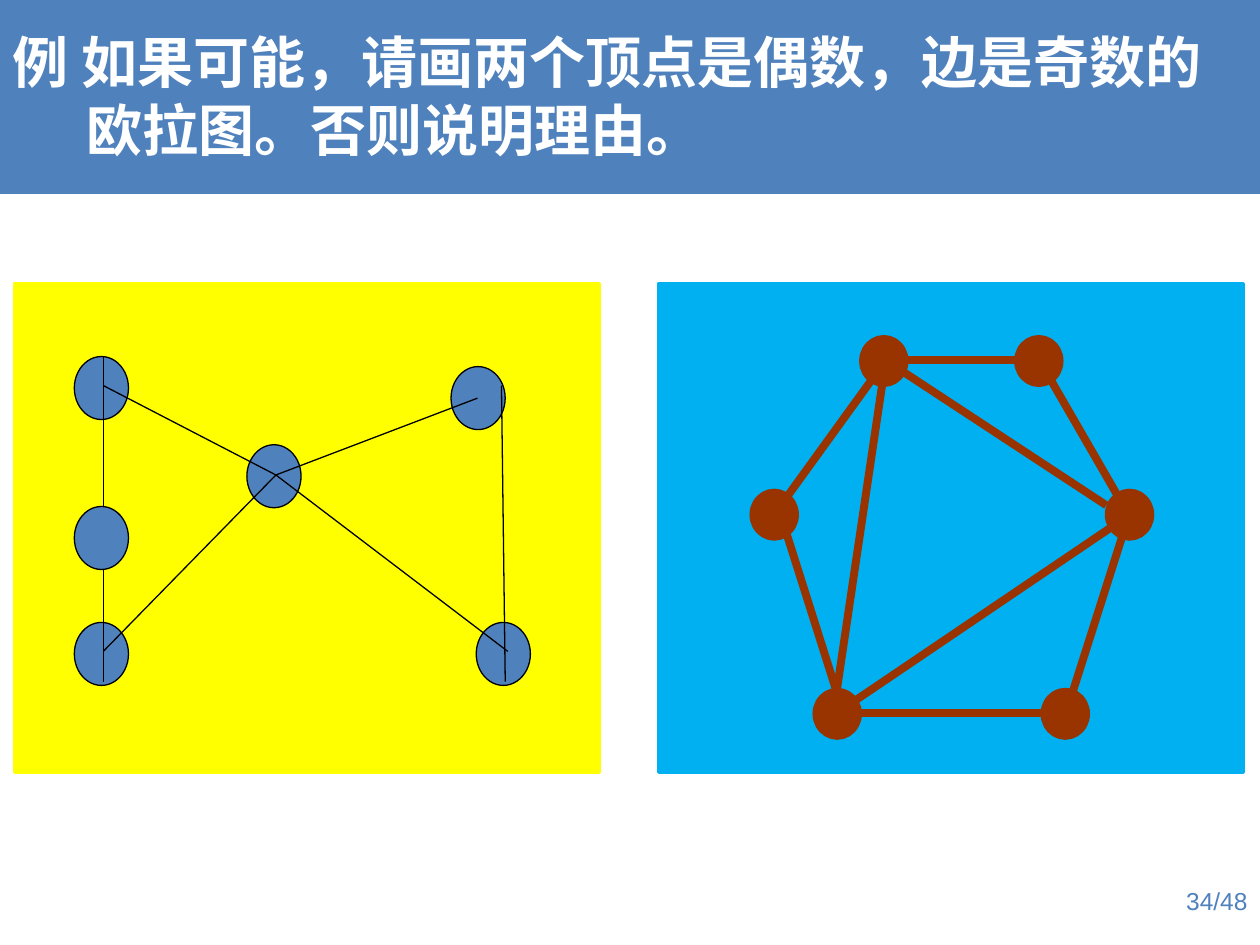
from lxml import etree
from pptx import Presentation
from pptx.dml.color import RGBColor
from pptx.enum.shapes import MSO_CONNECTOR, MSO_SHAPE
from pptx.enum.text import MSO_ANCHOR, PP_ALIGN
from pptx.oxml.ns import qn
from pptx.util import Inches, Pt

RECT = MSO_SHAPE.RECTANGLE
OVAL = MSO_SHAPE.OVAL
STRAIGHT = MSO_CONNECTOR.STRAIGHT
MIDDLE = MSO_ANCHOR.MIDDLE
LEFT = PP_ALIGN.LEFT
RIGHT = PP_ALIGN.RIGHT

BLUE = RGBColor(0x4F, 0x81, 0xBD)
SKY = RGBColor(0x00, 0xB0, 0xF0)
YELLOW = RGBColor(0xFF, 0xFF, 0x00)
BROWN = RGBColor(0x99, 0x33, 0x00)
BLACK = RGBColor(0x00, 0x00, 0x00)
WHITE = RGBColor(0xFF, 0xFF, 0xFF)

TITLE = "例 如果可能，请画两个顶点是偶数，边是奇数的欧拉图。否则说明理由。"


def add_shape(shapes, kind, box, fill, line=None, width=0):
    shape = shapes.add_shape(kind, *map(Inches, box))
    shape.shadow.inherit = False
    shape.fill.solid()
    shape.fill.fore_color.rgb = fill
    if line is None:
        shape.line.fill.background()
    else:
        shape.line.color.rgb = line
        shape.line.width = Pt(width)
    return shape


def add_edge(shapes, start, end, color, width):
    edge = shapes.add_connector(STRAIGHT, *map(Inches, start + end))
    edge.line.color.rgb = color
    edge.line.width = Pt(width)
    etree.SubElement(edge._element.spPr, qn("a:effectLst"))


def add_nodes(shapes, spots, size, fill, line, width):
    for spot in spots:
        add_shape(shapes, OVAL, spot + size, fill, line, width)


def set_text(shape, text, size, font, color, align, bold=False):
    frame = shape.text_frame
    frame.word_wrap = True
    para = frame.paragraphs[0]
    para.text = text
    para.alignment = align
    para.font.size = Pt(size)
    para.font.name = font
    para.font.bold = bold
    para.font.color.rgb = color
    return para


def add_title(shapes):
    bar = add_shape(shapes, RECT, (0, -0.03, 10, 1.57), BLUE)
    bar.text_frame.vertical_anchor = MIDDLE
    para = set_text(bar, TITLE, 32, "Calibri", WHITE, LEFT, True)
    props = para._p.get_or_add_pPr()
    props.set("marL", str(Inches(0.59)))
    props.set("indent", str(-Inches(0.59)))
    run = para.runs[0]._r.get_or_add_rPr()
    etree.SubElement(run, qn("a:ea")).set("typeface", "Calibri")


def add_number(shapes):
    box = shapes.add_textbox(*map(Inches, (7.67, 6.98, 2.33, 0.52)))
    set_text(box, "34/48", 14, "Arial", BLUE, RIGHT)


def add_bowtie(shapes):
    size = (0.43, 0.5)
    style = (BLUE, BLACK, 0.75)
    hub = (2.19, 3.77)
    spots = [(1.96, 3.53), (0.59, 2.83), (3.58, 2.91), (0.59, 4.94), (3.78, 4.94)]
    add_nodes(shapes, spots, size, *style)
    edges = [(hub, end) for end in ((0.82, 3.06), (3.79, 3.16), (0.82, 5.17), (4.03, 5.17))]
    edges += [((0.82, 2.83), (0.82, 5.41)), ((3.98, 3.06), (4.01, 5.41))]
    for start, end in edges:
        add_edge(shapes, start, end, BLACK, 0.75)
    add_nodes(shapes, [(0.59, 4.02)], size, *style)


def add_hexagon(shapes):
    top, east, base = (7.03, 2.86), (8.96, 4.09), (6.64, 5.66)
    peak, west, foot = (8.25, 2.86), (6.14, 4.09), (6.64, 5.49)
    spots = [(6.85, 2.69), (8.08, 2.69), (5.98, 3.91), (8.8, 3.91), (6.48, 5.49), (8.29, 5.49)]
    add_nodes(shapes, spots, (0.33, 0.35), BROWN, BROWN, 4.5)
    edges = [
        (top, west), (top, peak), (top, foot), (top, (8.78, 4.01)),
        (peak, east), (east, (8.46, 5.66)), (east, base),
        ((6.14, 3.91), foot), (base, (8.29, 5.66)),
    ]
    for start, end in edges:
        add_edge(shapes, start, end, BROWN, 4.5)


def main():
    deck = Presentation()
    deck.slide_width = Inches(10)
    deck.slide_height = Inches(7.5)
    shapes = deck.slides.add_slide(deck.slide_layouts[6]).shapes
    for left, color in ((5.23, SKY), (0.12, YELLOW)):
        add_shape(shapes, RECT, (left, 2.25, 4.64, 3.88), color, color, 2)
    add_number(shapes)
    add_title(shapes)
    add_bowtie(shapes.add_group_shape().shapes)
    add_hexagon(shapes.add_group_shape().shapes)
    deck.save("out.pptx")


if __name__ == "__main__":
    main()
